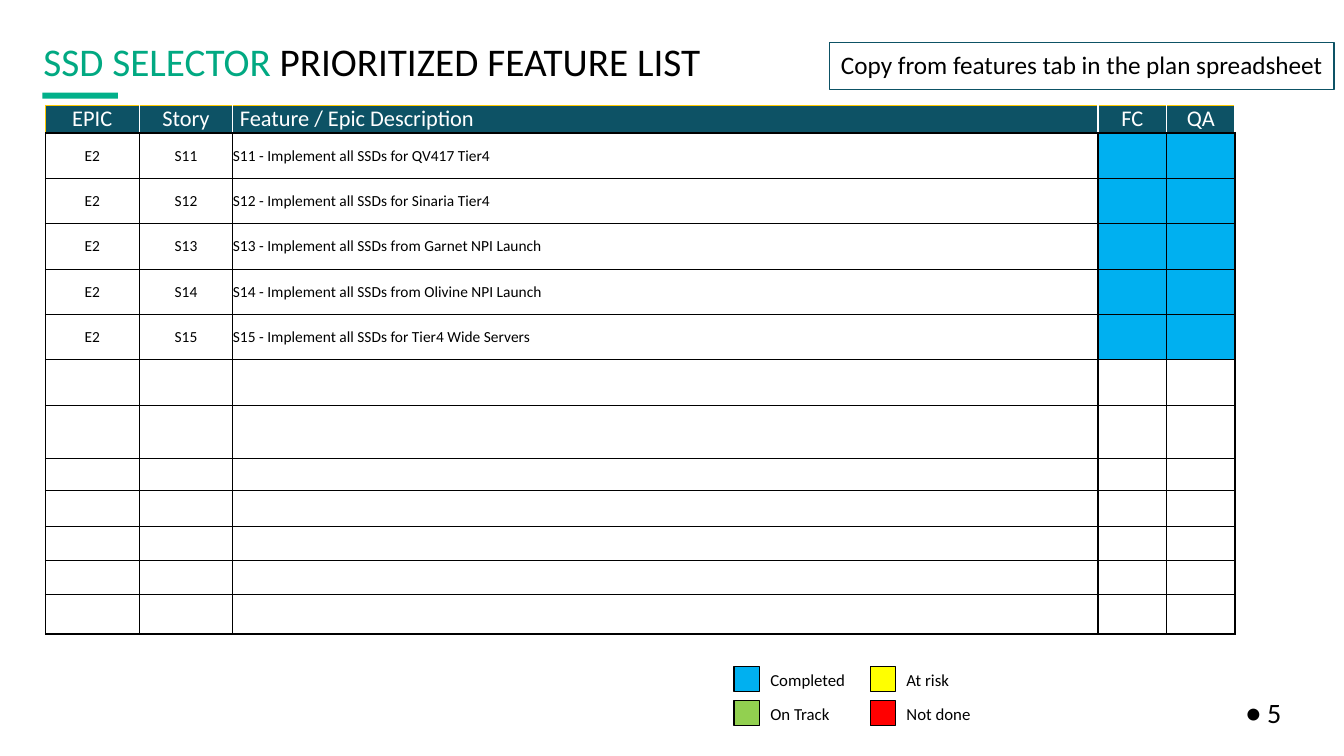
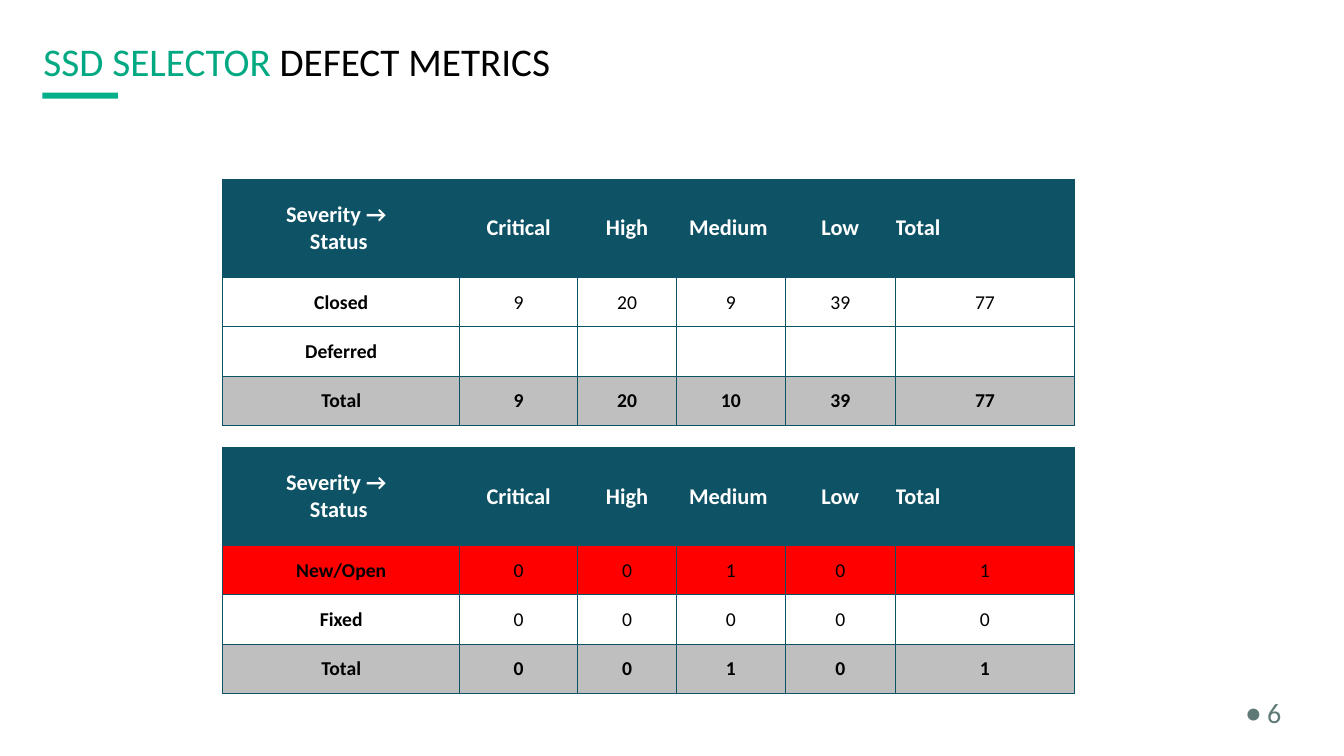
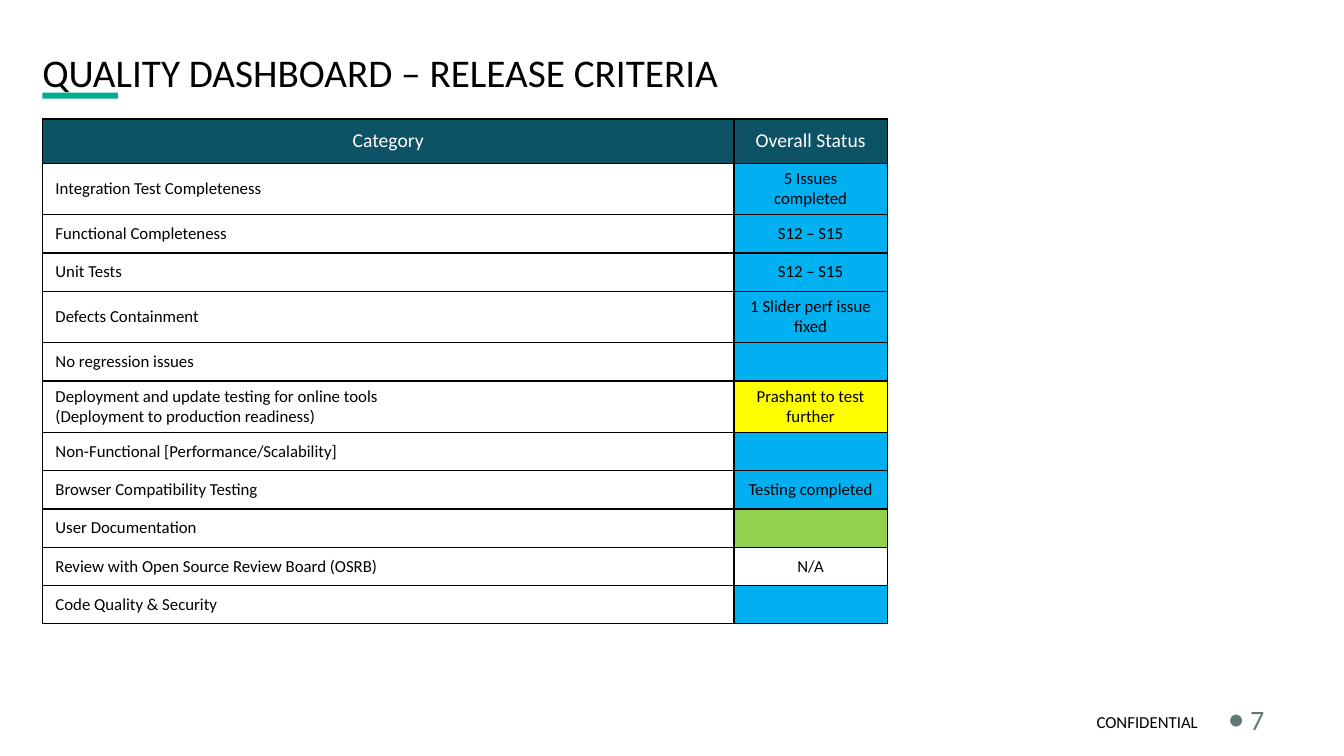
from lxml import etree
from pptx import Presentation
from pptx import util as u
from pptx.dml.color import RGBColor
from pptx.enum import shapes, text
from pptx.oxml.ns import qn

INK, WHITE, TEAL, GREY = "000000", "FFFFFF", "0D5265", "BFBFBF"
TITLE_GREEN, BAR_GREEN, GOLD, NUMBER_GREY = "01A982", "01B08A", "FEC901", "5F7A76"
DONE, ON_TRACK, AT_RISK, NOT_DONE = "00B0F0", "92D050", "FFFF00", "FF0000"
LEFT, CENTER, RIGHT = text.PP_ALIGN.LEFT, text.PP_ALIGN.CENTER, text.PP_ALIGN.RIGHT
TOP, MIDDLE = text.MSO_ANCHOR.TOP, text.MSO_ANCHOR.MIDDLE


def rgb(value):
    return RGBColor.from_string(value)


def inches(*values):
    return [u.Inches(value) for value in values]


class Report:
    font = "Calibri"

    def __init__(self):
        self.deck = Presentation()
        self.deck.slide_width, self.deck.slide_height = inches(13.33, 7.5)
        self.page = None

    def slide(self, title, at, number, number_at, number_color):
        """Start a page with its title, accent bar and bulleted number."""
        self.page = self.deck.slides.add_slide(self.deck.slide_layouts[5])
        self.rect((0.42, 0.92, 0.75, 0.06), fill=BAR_GREEN)
        box = self.page.shapes.title
        box.left, box.top, box.width, box.height = inches(*at)
        self.frame(box.text_frame, (0, 0, 0, 0), TOP)
        self.para(box.text_frame.paragraphs[0], title, 28, spacing=0.9)
        box = self.label(number, number_at, 20, number_color, margins=(0.1, 0.05, 0.1, 0.05))
        self.bullet(box.text_frame.paragraphs[0])

    def frame(self, frame, margins, anchor=MIDDLE, wrap=True):
        (frame.margin_left, frame.margin_top,
         frame.margin_right, frame.margin_bottom) = inches(*margins)
        frame.vertical_anchor = anchor
        frame.word_wrap = wrap
        frame.auto_size = text.MSO_AUTO_SIZE.NONE

    def para(self, para, runs, size, align=LEFT, spacing=None, bold=False):
        """Fill a paragraph with (text, colour) runs."""
        para.alignment = align
        if spacing:
            para.line_spacing = spacing
        for words, color in runs:
            span = para.add_run()
            span.text = words
            span.font.name = self.font
            span.font.size = u.Pt(size)
            span.font.bold = bold
            span.font.color.rgb = rgb(color)

    def bullet(self, para):
        props = para._p.get_or_add_pPr()
        props.set("marL", str(u.Inches(0.22)))
        props.set("indent", str(-u.Inches(0.22)))
        etree.SubElement(props, qn("a:buSzPct"), val="120000")
        etree.SubElement(props, qn("a:buFont"), typeface=self.font)
        etree.SubElement(props, qn("a:buChar"), char="•")

    def label(self, words, at, size, color=INK, align=LEFT, anchor=MIDDLE, margins=(0, 0, 0, 0)):
        box = self.page.shapes.add_textbox(*inches(*at))
        self.frame(box.text_frame, margins, anchor)
        self.para(box.text_frame.paragraphs[0], [(words, color)], size, align, 0.9)
        return box

    def rect(self, at, fill=None, line=None, width=0.75):
        box = self.page.shapes.add_shape(shapes.MSO_SHAPE.RECTANGLE, *inches(*at))
        box.shadow.inherit = False
        if fill:
            box.fill.solid()
            box.fill.fore_color.rgb = rgb(fill)
        else:
            box.fill.background()
        if line:
            box.line.color.rgb = rgb(line)
            box.line.width = u.Pt(width)
        else:
            box.line.fill.background()
        return box

    def table(self, left, top, widths, heights, rows, style):
        """Draw a table; style(row, column) gives the look of each cell."""
        at = inches(left, top, sum(widths), sum(heights))
        grid = self.page.shapes.add_table(len(heights), len(widths), *at).table
        grid.first_row = grid.horz_banding = False
        for column, width in zip(grid.columns, widths):
            column.width = u.Inches(width)
        for r, (row, height) in enumerate(zip(rows, heights)):
            grid.rows[r].height = u.Inches(height)
            for c, words in enumerate(row):
                self.cell(grid.cell(r, c), words, **style(r, c))

    def cell(self, cell, words, size, borders, color=INK, fill=WHITE,
             align=CENTER, bold=False, margins=(0, 0, 0, 0)):
        (cell.margin_left, cell.margin_top,
         cell.margin_right, cell.margin_bottom) = inches(*margins)
        cell.vertical_anchor = MIDDLE
        props = cell._tc.get_or_add_tcPr()
        for side, (line_color, width) in zip("LRTB", borders):
            line = etree.SubElement(props, qn("a:ln" + side), w=str(u.Pt(width)))
            solid = etree.SubElement(line, qn("a:solidFill"))
            etree.SubElement(solid, qn("a:srgbClr"), val=line_color)
        cell.fill.solid()
        cell.fill.fore_color.rgb = rgb(fill)
        for i, line_words in enumerate(words.split("\n")):
            para = cell.text_frame.add_paragraph() if i else cell.text_frame.paragraphs[0]
            if line_words:
                self.para(para, [(line_words, color)], size, align, bold=bold)
            else:
                # Keeps empty rows at their set height
                etree.SubElement(para._p, qn("a:endParaRPr"), sz=str(size * 100))


def feature_slide(report):
    report.slide([("SSD SELECTOR ", TITLE_GREEN), ("PRIORITIZED FEATURE LIST", INK)],
                 (0.43, 0.42, 12.49, 0.47), "5", (12.25, 6.89, 0.75, 0.4), INK)

    # Feature table
    features = ["for QV417 Tier4", "for Sinaria Tier4", "from Garnet NPI Launch",
                "from Olivine NPI Launch", "for Tier4 Wide Servers"]
    rows = [["EPIC", "Story", "Feature / Epic Description", "FC", "QA"]]
    for story, feature in enumerate(features, 11):
        rows.append(["E2", f"S{story}", f"S{story} - Implement all SSDs {feature}", "", ""])
    rows += [[""] * 5] * 7

    def style(r, c):
        align = LEFT if c == 2 else CENTER
        if r == 0:
            edge = (GOLD, 0.5) if c == 0 else (WHITE, 1)
            return dict(size=16, color=WHITE, fill=TEAL, align=align, margins=(0.07, 0, 0.07, 0),
                        borders=[edge, (WHITE, 1), (GOLD, 0.5), (INK, 1)])
        done = c > 2 and r <= len(features)
        return dict(size=11, align=align, fill=DONE if done else WHITE, borders=[(INK, 1)] * 4)

    heights = [0.28] + [0.45] * 6 + [0.53, 0.32, 0.35, 0.34, 0.34, 0.39]
    report.table(0.45, 1.04, [0.93, 0.93, 8.58, 0.68, 0.68], heights, rows, style)

    # Note
    note = report.rect((8.23, 0.42, 5, 0.47), line=TEAL, width=1)
    report.frame(note.text_frame, (0.2, 0.2, 0.2, 0.2), wrap=False)
    report.para(note.text_frame.paragraphs[0],
                [("Copy from features tab in the plan spreadsheet", INK)], 18, CENTER, 0.9)

    # Legend, filled column by column
    legend = [("Completed", DONE), ("On Track", ON_TRACK),
              ("At risk", AT_RISK), ("Not done", NOT_DONE)]
    for i, (words, color) in enumerate(legend):
        left, top = 7.28 + 1.35 * (i // 2), 6.61 + 0.34 * (i % 2)
        report.rect((left, top, 0.25, 0.25), color, INK)
        report.label(words, (left + 0.36, top + 0.02, 0.89, 0.25), 12)


def defect_slide(report):
    report.slide([("SSD SELECTOR ", TITLE_GREEN), ("DEFECT METRICS", INK)],
                 (0.43, 0.42, 12.49, 0.47), "6", (12.25, 6.89, 0.75, 0.4), NUMBER_GREY)
    header = ["Severity →  \nStatus ", "Critical", "High", "Medium ", "Low", "Total"]
    closed = [["Closed", "9", "20", "9", "39", "77"],
              ["Deferred", "", "", "", "", ""],
              ["Total", "9", "20", "10", "39", "77"]]
    still_open = [["New/Open", "0", "0", "1", "0", "1"],
                  ["Fixed", "0", "0", "0", "0", "0"],
                  ["Total", "0", "0", "1", "0", "1"]]

    for top, body, first_fill in [(1.78, closed, WHITE), (4.44, still_open, NOT_DONE)]:
        fills = [TEAL, first_fill, WHITE, GREY]

        def style(r, c):
            look = dict(fill=fills[r], borders=[(TEAL, 0.5)] * 4)
            if r == 0:
                return dict(look, size=16, color=WHITE, bold=True, align=LEFT if c == 5 else CENTER)
            return dict(look, size=14, bold=c == 0 or r == 3, margins=(0.01, 0.01, 0.01, 0))

        report.table(2.21, top, [2.35, 1.17, 0.98, 1.08, 1.09, 1.78],
                     [0.97] + [0.49] * 3, [header] + body, style)


def quality_slide(report):
    report.slide([("QUALITY DASHBOARD – RELEASE CRITERIA", INK)],
                 (0.42, 0.53, 11.99, 0.34), "7", (12.08, 7.03, 0.58, 0.25), NUMBER_GREY)
    report.label("CONFIDENTIAL", (8.18, 7.03, 3.8, 0.23), 12, align=RIGHT, anchor=TOP,
                 margins=(0.1, 0.05, 0.1, 0.05))

    # Criterion, status, status colour
    criteria = [
        ("Category", "Overall Status", TEAL),
        ("Integration Test Completeness", "5 Issues completed", DONE),
        ("Functional Completeness", "S12 – S15", DONE),
        ("Unit Tests", "S12 – S15", DONE),
        ("Defects Containment", "1 Slider perf issue fixed", DONE),
        ("No regression issues", "", DONE),
        ("Deployment and update testing for online tools\n(Deployment to production readiness)",
         "Prashant to test further", AT_RISK),
        ("Non-Functional [Performance/Scalability]", "", DONE),
        ("Browser Compatibility Testing", "Testing completed", DONE),
        ("User Documentation", "", ON_TRACK),
        ("Review with Open Source Review Board (OSRB)", "N/A", WHITE),
        ("Code Quality & Security", "", DONE),
    ]

    def style(r, c):
        look = dict(borders=[(INK, 1)] * 4, margins=(0.13, 0.05, 0.13, 0.05))
        if r == 0:
            return dict(look, size=14, color=WHITE, fill=TEAL)
        return dict(look, size=12, align=CENTER if c else LEFT,
                    fill=criteria[r][2] if c else WHITE)

    two_lines = (1, 4, 6)
    heights = [0.44] + [0.51 if r in two_lines else 0.38 for r in range(1, len(criteria))]
    report.table(0.42, 1.18, [6.86, 1.52], heights, [row[:2] for row in criteria], style)


def main():
    report = Report()
    feature_slide(report)
    defect_slide(report)
    quality_slide(report)
    report.deck.save("out.pptx")


if __name__ == "__main__":
    main()
